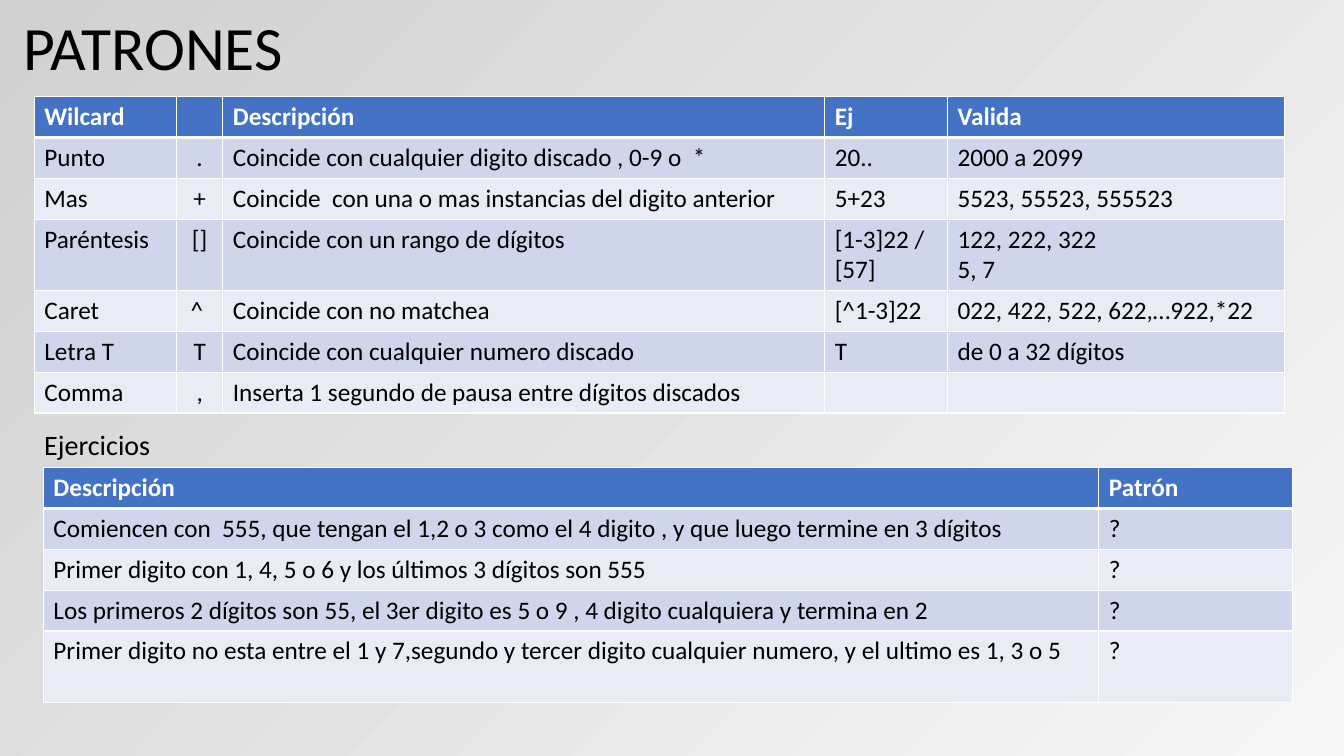
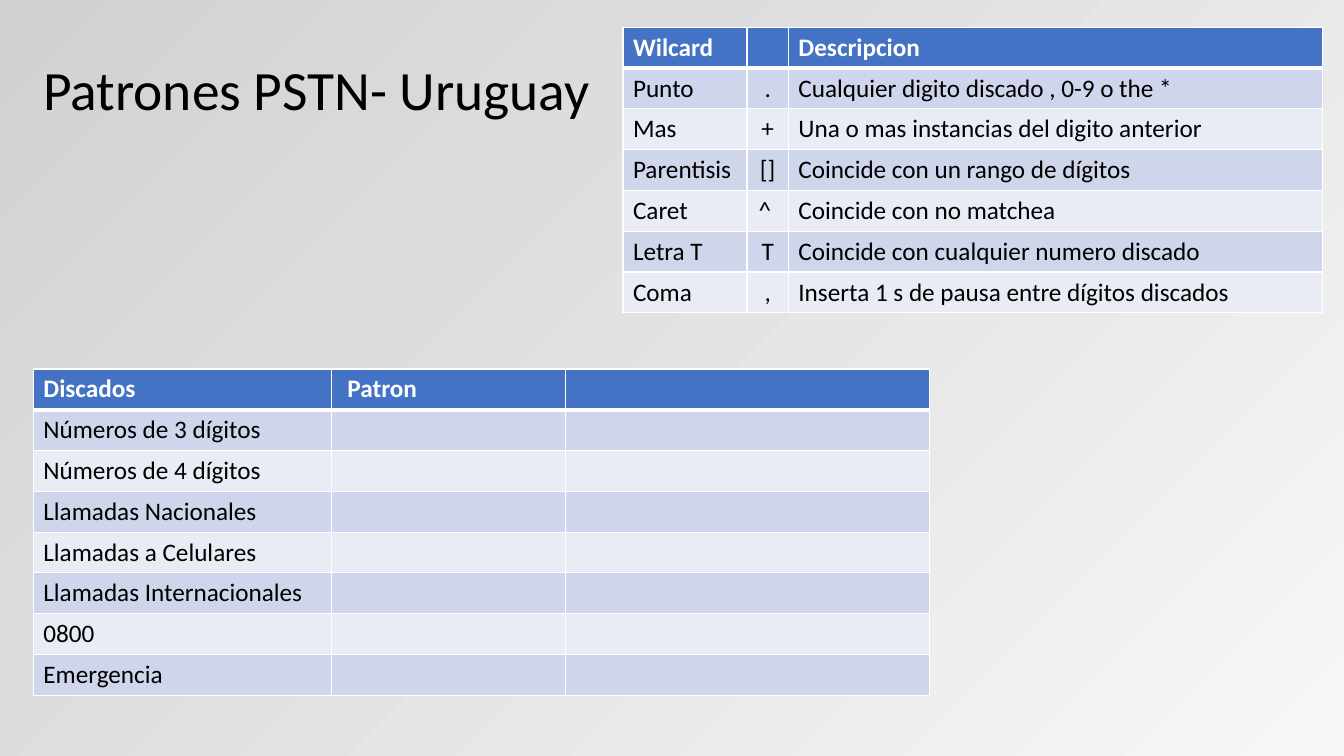
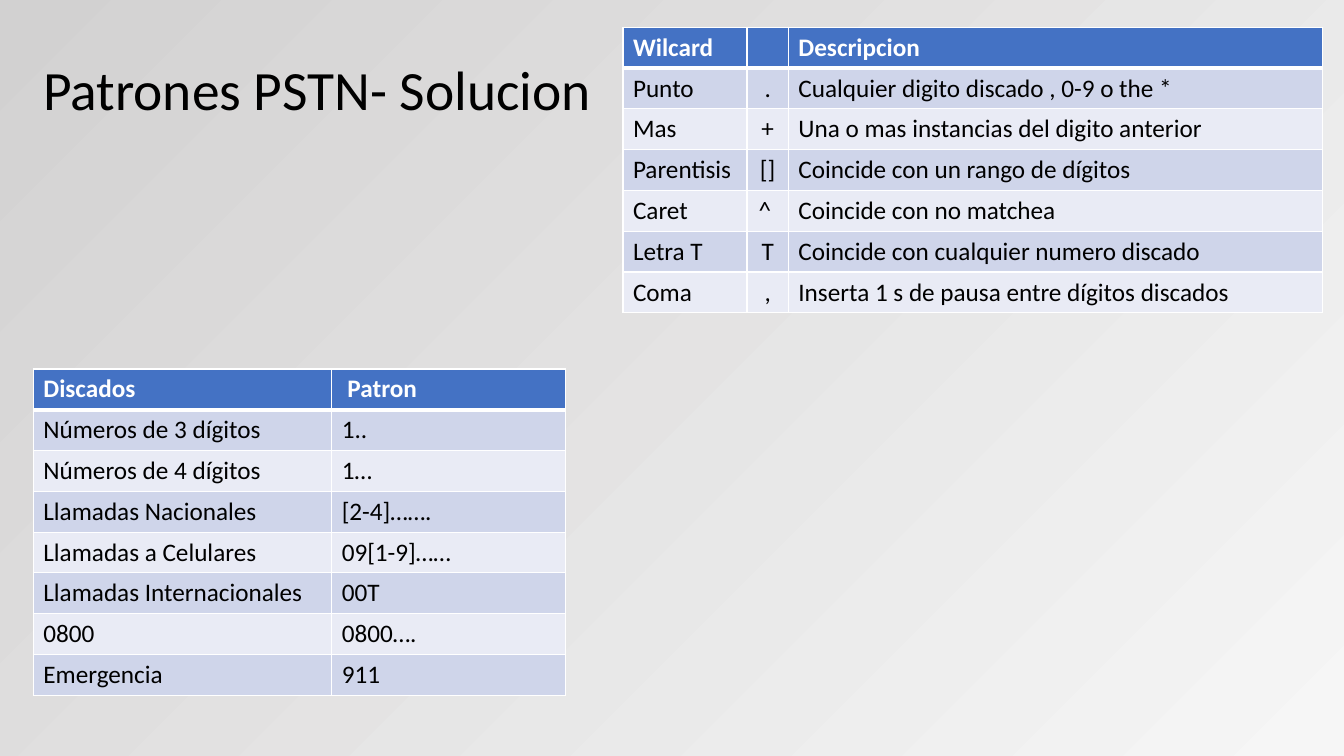
from dataclasses import dataclass

from pptx import Presentation
from pptx.dml.color import RGBColor
from pptx.enum.text import MSO_ANCHOR, PP_ALIGN
from pptx.oxml import parse_xml
from pptx.oxml.ns import nsdecls
from pptx.util import Inches, Pt

MIDDLE, TOP = MSO_ANCHOR.MIDDLE, MSO_ANCHOR.TOP
CENTER, LEFT = PP_ALIGN.CENTER, PP_ALIGN.LEFT


@dataclass(frozen=True)
class Theme:
    font: str = "Calibri"
    text: str = "000000"
    white: str = "FFFFFF"
    header: str = "4472C4"
    bands: tuple = ("CFD5EA", "E9EBF5")
    light: str = "F6F6F6"
    dark: str = "D2D1D1"
    title_size: float = 44
    long_title_size: float = 39.6
    label_size: float = 20
    cell_size: float = 18
    thin: float = 1
    thick: float = 3


theme = Theme()
presentation = Presentation()
presentation.slide_width = Inches(13.333)
presentation.slide_height = Inches(7.5)

# All lengths are percentages of the slide's width and height
COLUMN = presentation.slide_width / 100
ROW = presentation.slide_height / 100
LINE = 5.4
TALL_LINE = 9.45


def add_text(frame, text, size, color, bold=False, align=LEFT, spacing=None):
    for index, line in enumerate(text.split("\n")):
        paragraph = frame.add_paragraph() if index else frame.paragraphs[0]
        paragraph.alignment = align
        paragraph.line_spacing = spacing
        if line:
            run = paragraph.add_run()
            run.text = line
            run.font.name = theme.font
            run.font.size = Pt(size)
            run.font.bold = bold
            run.font.color.rgb = RGBColor.from_string(color)


def add_grid(slide, left, top, widths, rows, heights=None, centered=None):
    heights = heights or [LINE] * len(rows)
    table = slide.shapes.add_table(
        len(rows), len(widths), int(left * COLUMN), int(top * ROW),
        int(sum(widths) * COLUMN), int(sum(heights) * ROW)).table
    table.horz_banding = False
    for column, width in zip(table.columns, widths):
        column.width = int(width * COLUMN)
    for row_index, (row, height) in enumerate(zip(rows, heights)):
        table.rows[row_index].height = int(height * ROW)
        is_header = row_index == 0
        for column_index, text in enumerate(row):
            cell = table.cell(row_index, column_index)
            cell.fill.solid()
            cell.fill.fore_color.rgb = RGBColor.from_string(
                theme.header if is_header else theme.bands[(row_index - 1) % 2])
            add_text(cell.text_frame, text, theme.cell_size,
                     theme.white if is_header else theme.text, is_header,
                     CENTER if column_index == centered and not is_header else LEFT)
            # White borders, thicker under the header
            thick_side = {0: "B", 1: "T"}.get(row_index)
            for position, side in enumerate("LRTB"):
                width = Pt(theme.thick if side == thick_side else theme.thin)
                cell._tc.get_or_add_tcPr().insert(position, parse_xml(
                    f'<a:ln{side} {nsdecls("a")} w="{width}"><a:solidFill>'
                    f'<a:srgbClr val="{theme.white}"/></a:solidFill></a:ln{side}>'))


# Shared gradient background
master_content = presentation.slide_master.element.cSld
master_content.remove(master_content.bg)
master_content.insert(0, parse_xml(
    f'<p:bg {nsdecls("p", "a")}><p:bgPr><a:gradFill rotWithShape="1"><a:gsLst>'
    f'<a:gs pos="0"><a:srgbClr val="{theme.light}"/></a:gs>'
    f'<a:gs pos="100000"><a:srgbClr val="{theme.dark}"><a:alpha val="93000"/>'
    '</a:srgbClr></a:gs></a:gsLst><a:path path="circle">'
    '<a:fillToRect l="100000" t="100000"/></a:path></a:gradFill>'
    '<a:effectLst/></p:bgPr></p:bg>'))

# Slides with their text boxes: left, top, width, height, text, size, anchor, spacing
long_title = (2.48, 3.6, 43.88, 17.2)
text_boxes = [
    [(1, 0.7, 46, 12.1, "PATRONES", theme.title_size, MIDDLE, 0.9),
     (2.55, 55.87, 58.35, 5.87, "Ejercicios", theme.label_size, TOP, None)],
    [(*long_title, "Patrones PSTN- Uruguay", theme.long_title_size, MIDDLE, 0.9)],
    [(*long_title, "Patrones PSTN- Solucion", theme.long_title_size, MIDDLE, 0.9)],
]
slides = []
for boxes in text_boxes:
    slide = presentation.slides.add_slide(presentation.slide_layouts[6])
    slides.append(slide)
    for left, top, width, height, text, size, anchor, spacing in boxes:
        frame = slide.shapes.add_textbox(
            int(left * COLUMN), int(top * ROW),
            int(width * COLUMN), int(height * ROW)).text_frame
        frame.word_wrap = True
        frame.vertical_anchor = anchor
        add_text(frame, text, size, theme.text, spacing=spacing)
patterns_slide, exercise_slide, solution_slide = slides

# Patterns: wildcards with examples
add_grid(patterns_slide, 2.55, 12.8, [10.58, 3.45, 44.78, 9.15, 25.05], [
    ["Wilcard", "", "Descripción", "Ej", "Valida"],
    ["Punto", ".", "Coincide con cualquier digito discado , 0-9 o  *",
     "20..", "2000 a 2099"],
    ["Mas", "+", "Coincide  con una o mas instancias del digito anterior",
     "5+23", "5523, 55523, 555523"],
    ["Paréntesis", "[]", "Coincide con un rango de dígitos",
     "[1-3]22 / [57]", "122, 222, 322\n5, 7"],
    ["Caret", "^ ", "Coincide con no matchea",
     "[^1-3]22", "022, 422, 522, 622,…922,*22"],
    ["Letra T", "T", "Coincide con cualquier numero discado",
     "T", "de 0 a 32 dígitos"],
    ["Comma", ",", "Inserta 1 segundo de pausa entre dígitos discados", "", ""],
], heights=[LINE] * 3 + [TALL_LINE] + [LINE] * 3, centered=1)

# Patterns: exercises
exercises = [
    "Comiencen con  555, que tengan el 1,2 o 3 como el 4 digito , "
    "y que luego termine en 3 dígitos",
    "Primer digito con 1, 4, 5 o 6 y los últimos 3 dígitos son 555",
    "Los primeros 2 dígitos son 55, el 3er digito es 5 o 9 , "
    "4 digito cualquiera y termina en 2",
    "Primer digito no esta entre el 1 y 7,segundo y tercer digito "
    "cualquier numero, y el ultimo es 1, 3 o 5",
]
add_grid(patterns_slide, 3.23, 61.87, [78.53, 14.4],
         [["Descripción", "Patrón"]] + [[exercise, "?"] for exercise in exercises],
         heights=[LINE] * 4 + [TALL_LINE])

# Dialled numbers: exercise and solution
solutions = {
    "Números de 3 dígitos": "1..",
    "Números de 4 dígitos": "1…",
    "Llamadas Nacionales": "[2-4]…….",
    "Llamadas a Celulares": "09[1-9]……",
    "Llamadas Internacionales": "00T",
    "0800": "0800….",
    "Emergencia": "911",
}
dialled_header = ["Discados", " Patron"]
dialled_widths = [22.2, 17.4]
add_grid(exercise_slide, 2.48, 48.8, dialled_widths + [27.08],
         [dialled_header + [""]] + [[kind, "", ""] for kind in solutions])
add_grid(solution_slide, 2.48, 48.8, dialled_widths,
         [dialled_header] + [[kind, pattern] for kind, pattern in solutions.items()])

# Wildcard summary on both number slides
for slide in (exercise_slide, solution_slide):
    add_grid(slide, 46.35, 3.6, [9.23, 3.08, 39.75], [
        ["Wilcard", "", "Descripcion"],
        ["Punto", ".", "Cualquier digito discado , 0-9 o the *"],
        ["Mas", "+", "Una o mas instancias del digito anterior"],
        ["Parentisis", "[]", "Coincide con un rango de dígitos"],
        ["Caret", "^ ", "Coincide con no matchea"],
        ["Letra T", "T", "Coincide con cualquier numero discado"],
        ["Coma", ",", "Inserta 1 s de pausa entre dígitos discados"],
    ], centered=1)

presentation.save("out.pptx")
